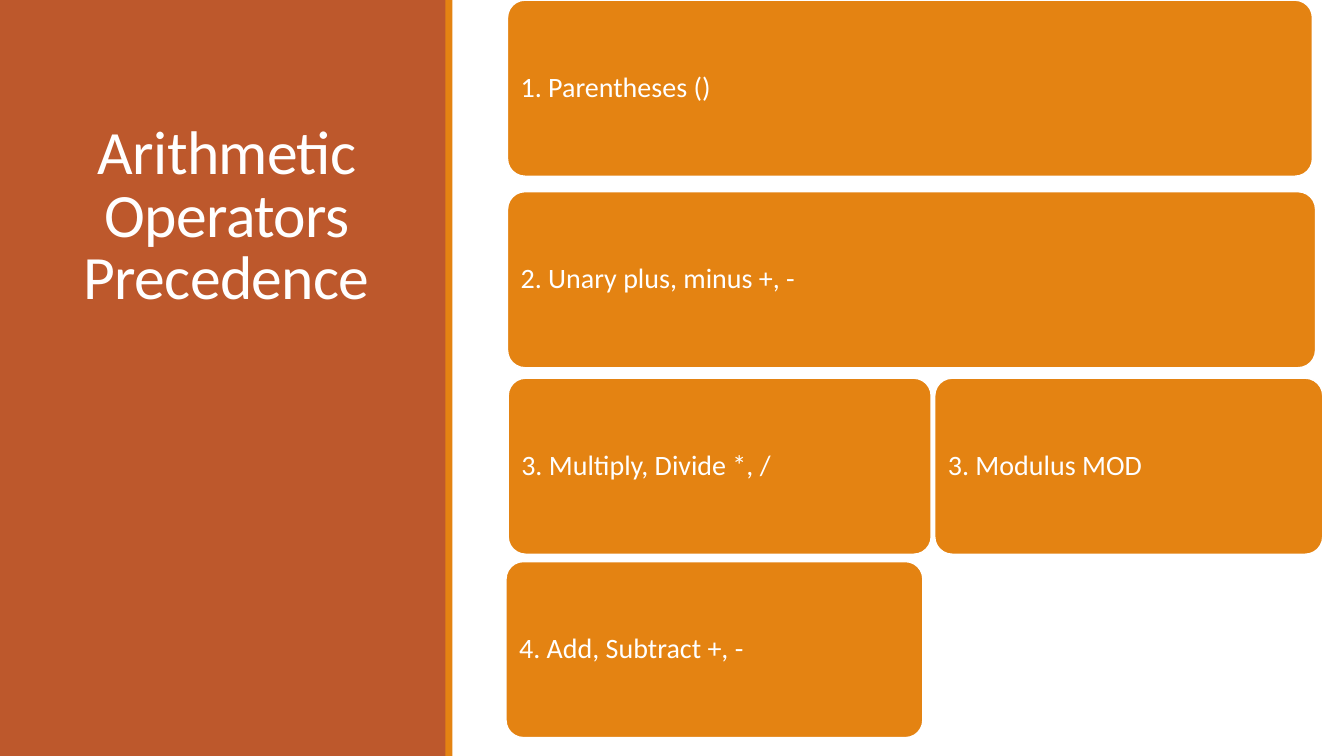
from pptx import Presentation
from pptx.dml.color import RGBColor
from pptx.enum.shapes import MSO_SHAPE
from pptx.enum.text import MSO_ANCHOR, PP_ALIGN
from pptx.util import Pt

RUST = RGBColor(0xBD, 0x58, 0x2C)
ORANGE = RGBColor(0xE4, 0x83, 0x12)
WHITE = RGBColor(0xFF, 0xFF, 0xFF)

CARD_HEIGHT = 126
CARD_INSET = 5.8

# left, top, width, text
CARDS = [
    (362.4, 0, 575.2, "1. Parentheses ()"),
    (362.4, 136.8, 577.4, "2. Unary plus, minus +, -"),
    (362.9, 270, 302.4, "3. Multiply, Divide *, /"),
    (667.6, 270, 277.4, "3. Modulus MOD"),
    (361.3, 401, 298, "4. Add, Subtract +, -"),
]


def add_filled_shape(slide, kind, left, top, width, height, color):
    shape = slide.shapes.add_shape(kind, Pt(left), Pt(top), Pt(width), Pt(height))
    shape.shadow.inherit = False
    shape.fill.solid()
    shape.fill.fore_color.rgb = color
    shape.line.fill.background()
    return shape


def write_text(shape, text, size, alignment, anchor, line_spacing):
    frame = shape.text_frame
    frame.word_wrap = True
    frame.vertical_anchor = anchor
    paragraph = frame.paragraphs[0]
    paragraph.alignment = alignment
    paragraph.line_spacing = line_spacing
    run = paragraph.add_run()
    run.text = text
    for name, value in {"name": "Calibri", "size": Pt(size)}.items():
        setattr(run.font, name, value)
    run.font.color.rgb = WHITE
    return run


def add_title(slide, text):
    box = slide.shapes.add_textbox(Pt(36), Pt(46.8), Pt(252), Pt(180))
    run = write_text(box, text, 44, PP_ALIGN.CENTER, MSO_ANCHOR.BOTTOM, 0.85)
    run.font._element.set("spc", "-50")  # letter spacing in hundredths of a point


def add_card(slide, left, top, width, text):
    card = add_filled_shape(slide, MSO_SHAPE.ROUNDED_RECTANGLE,
                            left, top, width, CARD_HEIGHT, ORANGE)
    card.adjustments[0] = 0.1
    card.line.color.rgb = WHITE
    card.line.width = Pt(1.25)
    for side in ("left", "top", "right", "bottom"):
        setattr(card.text_frame, f"margin_{side}", Pt(CARD_INSET))
    write_text(card, text, 20, PP_ALIGN.LEFT, MSO_ANCHOR.MIDDLE, 0.9)


def main():
    presentation = Presentation()
    presentation.slide_width, presentation.slide_height = Pt(960), Pt(540)
    slide = presentation.slides.add_slide(presentation.slide_layouts[6])
    add_filled_shape(slide, MSO_SHAPE.RECTANGLE, 0, 0, 319, 540, RUST)
    add_filled_shape(slide, MSO_SHAPE.RECTANGLE, 318.2, 0, 5, 540, ORANGE)
    add_title(slide, "Arithmetic Operators Precedence")
    for card in CARDS:
        add_card(slide, *card)
    presentation.save("out.pptx")


if __name__ == "__main__":
    main()
